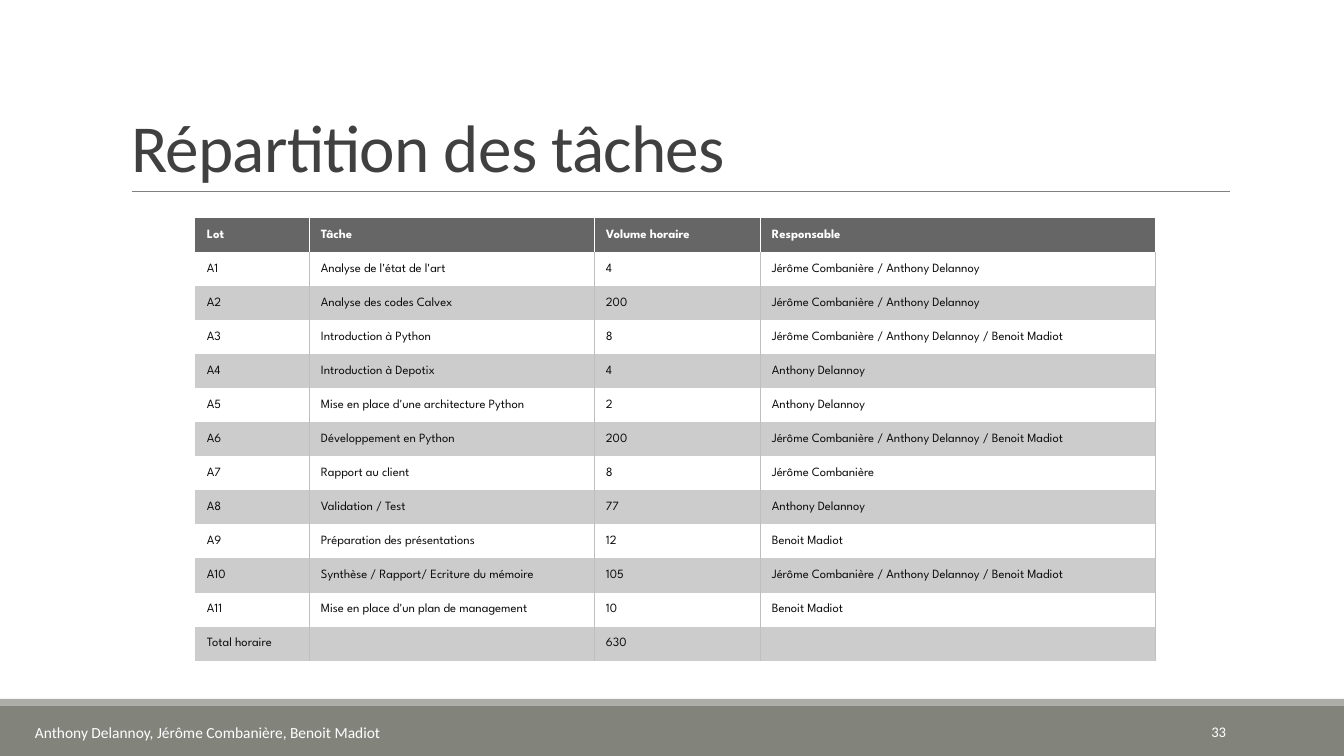
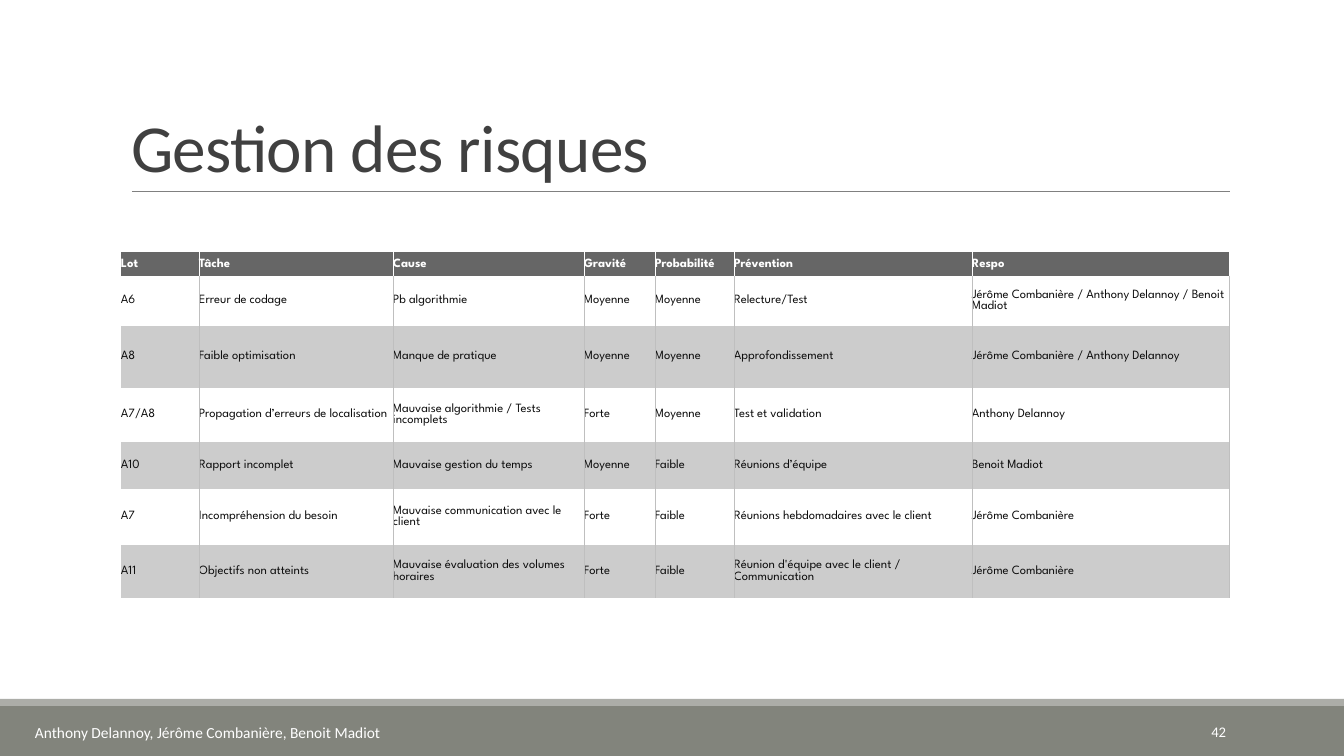
from dataclasses import dataclass

from lxml import etree
from pptx import Presentation
from pptx.dml.color import RGBColor
from pptx.enum.shapes import MSO_CONNECTOR, MSO_SHAPE
from pptx.enum.text import MSO_ANCHOR, MSO_AUTO_SIZE, PP_ALIGN
from pptx.oxml.ns import qn
from pptx.util import Pt

RECTANGLE = MSO_SHAPE.RECTANGLE
STRAIGHT = MSO_CONNECTOR.STRAIGHT
MIDDLE, BOTTOM = MSO_ANCHOR.MIDDLE, MSO_ANCHOR.BOTTOM
LEFT, RIGHT = PP_ALIGN.LEFT, PP_ALIGN.RIGHT

EMU_PER_PX = 914400 / 100.8
SLIDE_WIDTH, SLIDE_HEIGHT = 1344, 756
TITLE_ONLY = 5


@dataclass(frozen=True)
class Theme:
    body_font: str = "Calibri"
    table_font: str = "League Spartan"
    title_size: float = 48
    footer_size: float = 11
    number_size: float = 10.5
    table_size: float = 9
    line_width: float = 0.5
    title: str = "404040"
    title_rule: str = "808080"
    footer_band: str = "82847C"
    footer_strip: str = "ACADA8"
    white: str = "FFFFFF"
    header_fill: str = "666666"
    banded_fill: str = "CCCCCC"
    cell_text: str = "0D0D0D"
    cell_border: str = "BFBFBF"


THEME = Theme()

JEROME, ANTHONY, BENOIT = "Jérôme Combanière", "Anthony Delannoy", "Benoit Madiot"
PAIR = f"{JEROME} / {ANTHONY}"
TEAM = f"{PAIR} / {BENOIT}"
FOOTER = f"{ANTHONY}, {JEROME}, {BENOIT}"

BANDS = [
    ((0, 706, SLIDE_WIDTH, 50), THEME.footer_band),
    ((0, 699, SLIDE_WIDTH, 7), THEME.footer_strip),
]
TITLE_BOX = (121, 31, 1109, 160)
TITLE_RULE = (132, 191, 1230, 191)
FOOTER_BOX = (25, 712, 400, 40)
NUMBER_BOX = (1092, 712, 144, 40)

TASKS = [
    ("Lot", "Tâche", "Volume horaire", "Responsable"),
    ("A1", "Analyse de l'état de l'art", "4", PAIR),
    ("A2", "Analyse des codes Calvex", "200", PAIR),
    ("A3", "Introduction à Python", "8", TEAM),
    ("A4", "Introduction à Depotix", "4", ANTHONY),
    ("A5", "Mise en place d'une architecture Python", "2", ANTHONY),
    ("A6", "Développement en Python", "200", TEAM),
    ("A7", "Rapport au client", "8", JEROME),
    ("A8", "Validation / Test", "77", ANTHONY),
    ("A9", "Préparation des présentations", "12", BENOIT),
    ("A10", "Synthèse / Rapport/ Ecriture du mémoire", "105", TEAM),
    ("A11", "Mise en place d'un plan de management", "10", BENOIT),
    ("Total horaire", "", "630", ""),
]

RISKS = [
    ("Lot", "Tâche", "Cause", "Gravité", "Probabilité", "Prévention", "Respo"),
    ("A6", "Erreur de codage", "Pb algorithmie", "Moyenne", "Moyenne",
     "Relecture/Test", TEAM),
    ("A8", "Faible optimisation", "Manque de pratique", "Moyenne", "Moyenne",
     "Approfondissement", PAIR),
    ("A7/A8", "Propagation d’erreurs de localisation",
     "Mauvaise algorithmie / Tests incomplets", "Forte", "Moyenne",
     "Test et validation", ANTHONY),
    ("A10", "Rapport incomplet", "Mauvaise gestion du temps", "Moyenne", "Faible",
     "Réunions d’équipe", BENOIT),
    ("A7", "Incompréhension du besoin", "Mauvaise communication avec le client",
     "Forte", "Faible", "Réunions hebdomadaires avec le client", JEROME),
    ("A11", "Objectifs non atteints", "Mauvaise évaluation des volumes horaires",
     "Forte", "Faible", "Réunion d'équipe avec le client / Communication", JEROME),
]

SLIDES = [
    {
        "title": "Répartition des tâches",
        "number": "33",
        "rows": TASKS,
        "origin": (195, 218),
        "widths": [114, 285, 166, 395],
        "heights": [443 / len(TASKS)] * len(TASKS),
        "inset": 12,
    },
    {
        "title": "Gestion des risques",
        "number": "42",
        "rows": RISKS,
        "origin": (121, 252),
        "widths": [78, 194, 191, 71, 79, 238, 257],
        "heights": [24, 50, 62, 54, 47, 56, 53],
        "inset": 0,
    },
]


def px(*lengths):
    return [round(length * EMU_PER_PX) for length in lengths]


def rgb(color):
    return RGBColor.from_string(color)


def style_paragraph(paragraph, font_name, size, color, bold=False, alignment=LEFT):
    paragraph.alignment = alignment
    font = paragraph.font
    font.name, font.size, font.bold = font_name, Pt(size), bold
    font.color.rgb = rgb(color)


def add_bands(slide):
    for box, color in BANDS:
        band = slide.shapes.add_shape(RECTANGLE, *px(*box))
        band.shadow.inherit = False
        band.fill.solid()
        band.fill.fore_color.rgb = rgb(color)
        band.line.fill.background()


def add_title_rule(slide):
    rule = slide.shapes.add_connector(STRAIGHT, *px(*TITLE_RULE))
    rule.line.color.rgb = rgb(THEME.title_rule)
    rule.line.width = Pt(THEME.line_width)
    etree.SubElement(rule._element.spPr, qn("a:effectLst"))


def set_title(slide, text):
    title = slide.shapes.title
    title.left, title.top, title.width, title.height = px(*TITLE_BOX)
    frame = title.text_frame
    frame.text = text
    frame.auto_size = MSO_AUTO_SIZE.NONE
    frame.vertical_anchor = BOTTOM
    paragraph = frame.paragraphs[0]
    paragraph.line_spacing = 0.85
    style_paragraph(paragraph, THEME.body_font, THEME.title_size, THEME.title)
    paragraph.runs[0]._r.get_or_add_rPr().set("spc", "-50")


def add_footer_text(slide, box, text, size, alignment):
    frame = slide.shapes.add_textbox(*px(*box)).text_frame
    frame.word_wrap = True
    frame.vertical_anchor = MIDDLE
    frame.text = text
    style_paragraph(frame.paragraphs[0], THEME.body_font, size, THEME.white,
                    alignment=alignment)


def set_borders(cell, left, right):
    """Draw the side borders in the given colours; None means no line."""
    properties = cell._tc.get_or_add_tcPr()
    sides = [("a:lnL", left), ("a:lnR", right), ("a:lnT", None), ("a:lnB", None)]
    for position, (tag, color) in enumerate(sides):
        line = etree.Element(qn(tag), w=str(Pt(THEME.line_width)))
        if color:
            fill = etree.SubElement(line, qn("a:solidFill"))
            etree.SubElement(fill, qn("a:srgbClr"), val=color)
        else:
            etree.SubElement(line, qn("a:noFill"))
        properties.insert(position, line)


def format_cell(cell, text, row, column, inset):
    header = row == 0
    cell.text = text
    cell.vertical_anchor = MIDDLE
    cell.margin_left = px(inset)[0]
    cell.margin_right = cell.margin_top = cell.margin_bottom = 0
    style_paragraph(cell.text_frame.paragraphs[0], THEME.table_font, THEME.table_size,
                    THEME.white if header else THEME.cell_text, bold=header)
    if header or row % 2 == 0:
        cell.fill.solid()
        cell.fill.fore_color.rgb = rgb(THEME.header_fill if header else THEME.banded_fill)
    else:
        cell.fill.background()
    border = THEME.white if header else THEME.cell_border
    set_borders(cell, border if column else None, border)


def add_table(slide, rows, origin, widths, heights, inset):
    size = (sum(widths), sum(heights))
    table = slide.shapes.add_table(len(rows), len(widths), *px(*origin, *size)).table
    table.horz_banding = False
    for column, width in zip(table.columns, px(*widths)):
        column.width = width
    for table_row, height in zip(table.rows, px(*heights)):
        table_row.height = height
    for row, texts in enumerate(rows):
        for column, text in enumerate(texts):
            format_cell(table.cell(row, column), text, row, column, inset)


def add_slide(presentation, title, number, **table):
    slide = presentation.slides.add_slide(presentation.slide_layouts[TITLE_ONLY])
    add_bands(slide)
    add_title_rule(slide)
    set_title(slide, title)
    add_footer_text(slide, FOOTER_BOX, FOOTER, THEME.footer_size, LEFT)
    add_footer_text(slide, NUMBER_BOX, number, THEME.number_size, RIGHT)
    add_table(slide, **table)


def main():
    presentation = Presentation()
    presentation.slide_width, presentation.slide_height = px(SLIDE_WIDTH, SLIDE_HEIGHT)
    for content in SLIDES:
        add_slide(presentation, **content)
    presentation.save("out.pptx")


if __name__ == "__main__":
    main()
